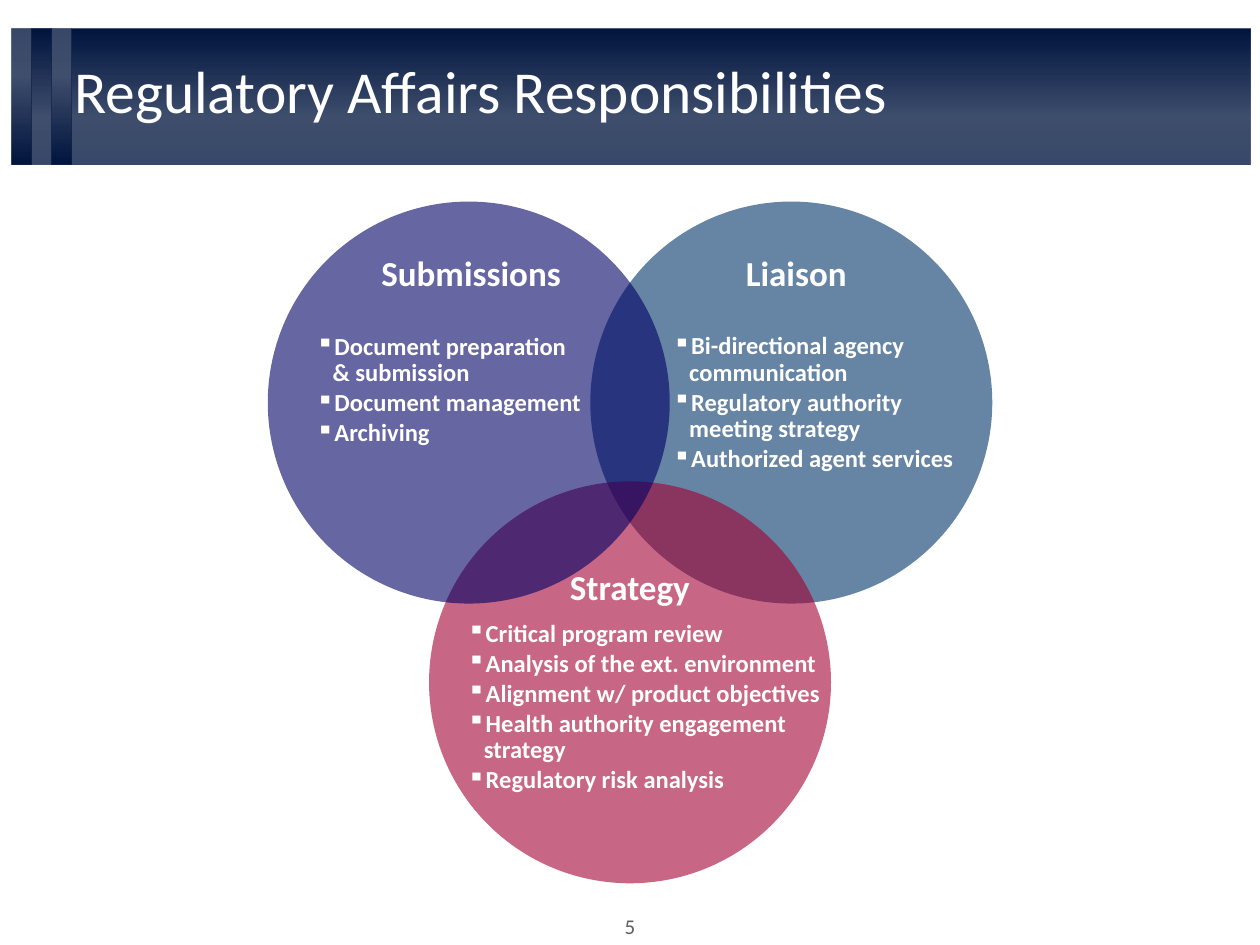
from dataclasses import dataclass

import lxml.etree
import pptx
import pptx.dml.color
import pptx.enum.shapes
import pptx.enum.text
import pptx.oxml
import pptx.oxml.ns
import pptx.util
from pptx.util import Inches

ALIGN = pptx.enum.text.PP_ALIGN
ANCHOR = pptx.enum.text.MSO_ANCHOR
SHAPE = pptx.enum.shapes.MSO_SHAPE


@dataclass(frozen=True)
class Theme:
    font: str = "Calibri"
    navy: str = "00153E"
    white: str = "FFFFFF"
    grey: str = "5F5F5F"
    liaison: str = "003366"
    strategy: str = "A30134"
    submissions: str = "000066"
    title_size: int = 34
    heading_size: int = 20
    list_size: int = 14
    number_size: int = 12


@dataclass(frozen=True)
class Bar:
    left: float
    width: float
    angle: int


@dataclass(frozen=True)
class Area:
    """One circle with its heading and bulleted list; lengths in inches."""
    color: str
    center_x: float
    top: float
    heading: str
    heading_x: float
    heading_top: float
    list_box: tuple[float, float, float, float]
    list_anchor: ANCHOR
    items: tuple[str, ...]


THEME = Theme()
DIAMETER = 3.19
MID_X, SPREAD = 5.0, 1.28
UPPER_TOP, LOWER_TOP = 1.6, 3.82
BAR_TOP, BAR_HEIGHT, STRIPE = 0.23, 1.08, 0.16

BARS = [Bar(0.09 + i * STRIPE, STRIPE, 90 if i % 2 else 270) for i in range(3)]
BARS.append(Bar(0.09 + 3 * STRIPE, 9.35, 90))

AREAS = [
    Area(THEME.liaison, MID_X + SPREAD, UPPER_TOP, "Liaison", 6.32, 1.95,
         (5.34, 2.64, 2.32, 1.12), ANCHOR.MIDDLE,
         ("Bi-directional agency\ncommunication",
          "Regulatory authority\nmeeting strategy",
          "Authorized agent services")),
    Area(THEME.strategy, MID_X, LOWER_TOP, "Strategy", MID_X, 4.44,
         (3.71, 4.93, 2.85, 1.38), ANCHOR.TOP,
         ("Critical program review",
          "Analysis of the ext. environment",
          "Alignment w/ product objectives",
          "Health authority engagement\nstrategy",
          "Regulatory risk analysis")),
    Area(THEME.submissions, MID_X - SPREAD, UPPER_TOP, "Submissions", 3.74, 1.95,
         (2.51, 2.65, 2.23, 0.9), ANCHOR.MIDDLE,
         ("Document preparation\n& submission",
          "Document management",
          "Archiving")),
]


def rgb(color: str) -> pptx.dml.color.RGBColor:
    return pptx.dml.color.RGBColor.from_string(color)


def set_font(p, size: int, color: str, bold: bool = False) -> None:
    p.font.name = THEME.font
    p.font.size = pptx.util.Pt(size)
    p.font.bold = bold
    p.font.color.rgb = rgb(color)


def add_plain_shape(s, kind: SHAPE, left: float, top: float, width: float, height: float):
    sp = s.shapes.add_shape(kind, Inches(left), Inches(top), Inches(width), Inches(height))
    sp.shadow.inherit = False
    sp.line.fill.background()
    return sp


def add_bar(s, bar: Bar) -> None:
    sp = add_plain_shape(s, SHAPE.RECTANGLE, bar.left, BAR_TOP, bar.width, BAR_HEIGHT)
    stops = "".join(
        f'<a:gs pos="{pos * 1000}"><a:srgbClr val="{THEME.navy}">'
        f'<a:alpha val="{alpha * 1000}"/></a:srgbClr></a:gs>'
        for pos, alpha in ((0, 100), (65, 75), (100, 78)))
    gradient = pptx.oxml.parse_xml(
        f'<a:gradFill {pptx.oxml.ns.nsdecls("a")} rotWithShape="1"><a:gsLst>{stops}</a:gsLst>'
        f'<a:lin ang="{bar.angle * 60000}" scaled="0"/></a:gradFill>')
    sp.fill.background()
    sp_pr = sp.element.spPr
    sp_pr.replace(sp_pr.find(pptx.oxml.ns.qn("a:noFill")), gradient)


def add_circle(s, area: Area) -> None:
    sp = add_plain_shape(s, SHAPE.OVAL, area.center_x - DIAMETER / 2, area.top,
                         DIAMETER, DIAMETER)
    sp.fill.solid()
    sp.fill.fore_color.rgb = rgb(area.color)
    color = sp.element.spPr.find(".//" + pptx.oxml.ns.qn("a:srgbClr"))
    lxml.etree.SubElement(color, pptx.oxml.ns.qn("a:alpha")).set("val", "60000")


def add_label(s, text: str, center_x: float, top: float, width: float, height: float,
              size: int, color: str, bold: bool = False) -> None:
    box = s.shapes.add_textbox(Inches(center_x - width / 2), Inches(top),
                               Inches(width), Inches(height))
    p = box.text_frame.paragraphs[0]
    p.text = text
    p.alignment = ALIGN.CENTER
    set_font(p, size, color, bold)


def add_list(s, area: Area) -> None:
    tf = s.shapes.add_textbox(*map(Inches, area.list_box)).text_frame
    tf.word_wrap = True
    tf.vertical_anchor = area.list_anchor
    tf.margin_left = tf.margin_right = tf.margin_top = tf.margin_bottom = 0
    for i, item in enumerate(area.items):
        p = tf.add_paragraph() if i else tf.paragraphs[0]
        p.text = item
        p.line_spacing = 0.9
        p.space_before = pptx.util.Pt(2)
        set_font(p, THEME.list_size, THEME.white, bold=True)
        # Hanging bullet
        p_pr = p._p.get_or_add_pPr()
        p_pr.set("marL", str(Inches(0.13)))
        p_pr.set("indent", str(-Inches(0.13)))
        bullet = pptx.oxml.parse_xml(f'<a:buChar {pptx.oxml.ns.nsdecls("a")} char="▪"/>')
        p_pr.find(pptx.oxml.ns.qn("a:defRPr")).addprevious(bullet)


def add_title(s, text: str) -> None:
    title = s.shapes.title
    title.left, title.top, title.width, title.height = map(Inches, (0.49, 0.47, 9, 0.58))
    tf = title.text_frame
    tf.text = text
    tf.vertical_anchor = ANCHOR.MIDDLE
    tf.auto_size = pptx.enum.text.MSO_AUTO_SIZE.NONE
    p = tf.paragraphs[0]
    p.alignment = ALIGN.LEFT
    p.line_spacing = 0.83
    set_font(p, THEME.title_size, THEME.white)
    # Bring the title in front of the banner
    s.shapes.element.append(title.element)


def main() -> None:
    prs = pptx.Presentation()
    prs.slide_width, prs.slide_height = Inches(10), Inches(7.5)
    s = prs.slides.add_slide(prs.slide_layouts.get_by_name("Title Only"))

    # Page number
    add_label(s, "5", MID_X, 7.2, 0.4, 0.3, THEME.number_size, THEME.grey)

    # Banner and title
    for bar in BARS:
        add_bar(s, bar)
    add_title(s, "Regulatory Affairs Responsibilities")

    # Overlapping areas of responsibility
    for area in AREAS:
        add_circle(s, area)
        add_list(s, area)
        add_label(s, area.heading, area.heading_x, area.heading_top, 1.64, 0.44,
                  THEME.heading_size, THEME.white, bold=True)

    prs.save("out.pptx")


if __name__ == "__main__":
    main()
